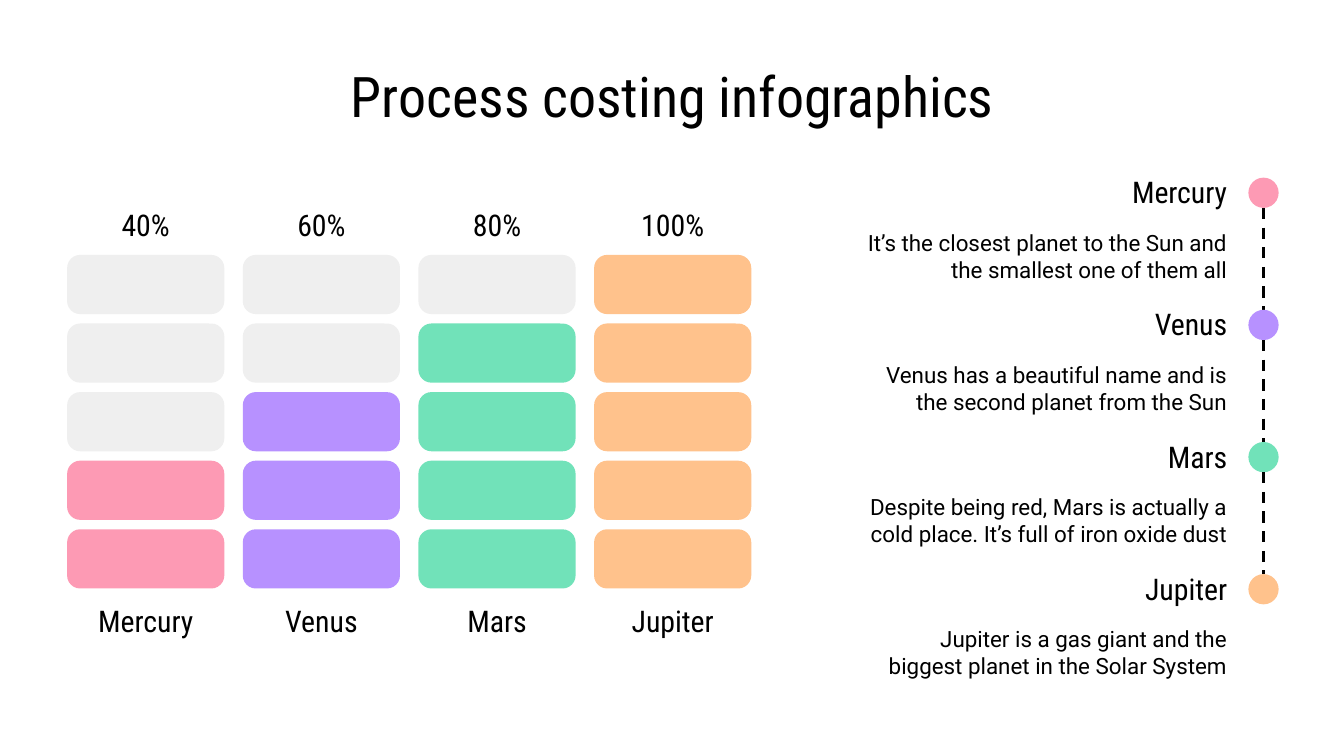
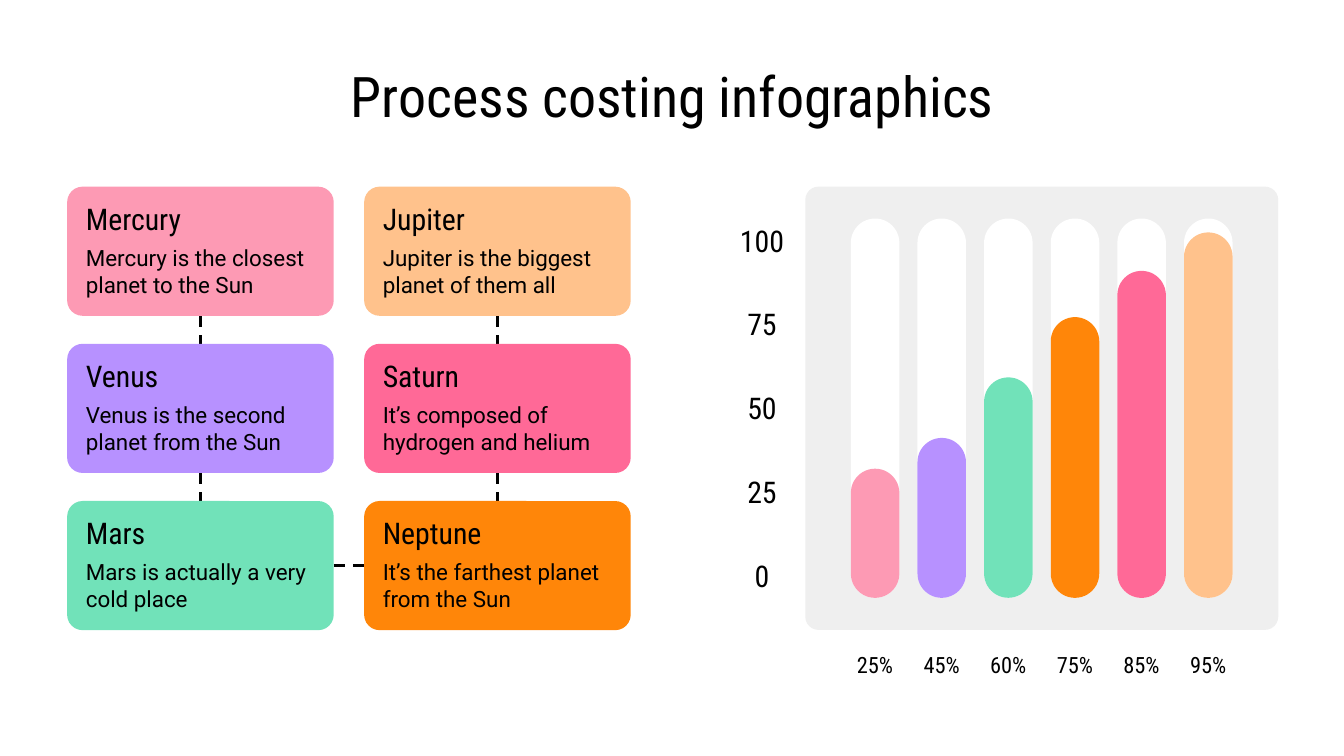
from dataclasses import dataclass
from lxml.etree import SubElement
from pptx import Presentation
from pptx.dml.color import RGBColor
from pptx.enum.dml import MSO_LINE as Dash
from pptx.enum.shapes import MSO_CONNECTOR as Conn, MSO_SHAPE as Kind
from pptx.enum.text import MSO_ANCHOR as Anchor, PP_ALIGN as Align
from pptx.oxml.ns import qn
from pptx.util import Pt


@dataclass(frozen=True)
class Theme:
    ink: str = "000000"
    white: str = "FFFFFF"
    grey: str = "EFEFEF"
    pink: str = "FD9AB4"
    violet: str = "B791FF"
    mint: str = "71E2B9"
    peach: str = "FFC28C"
    rose: str = "FF6997"
    orange: str = "FF8609"
    title: int = 30
    head: int = 16
    body: int = 12
    narrow: str = "Roboto Condensed"
    plain: str = "Roboto"
    pad: float = 7.2
    rule: float = 1.5


class Deck:
    def __init__(self, theme):
        self.theme = theme
        self.file = Presentation()
        self.file.slide_width, self.file.slide_height = Pt(720), Pt(405)
        self.slide = None

    def start(self):
        self.slide = self.file.slides.add_slide(self.file.slide_layouts[6])
        fill = self.slide.background.fill
        fill.solid()
        fill.fore_color.rgb = RGBColor.from_string(self.theme.white)

    def title(self, words):
        self.text(words, 36, 32.4, 648.7, 37.4, size=self.theme.title)

    def text(self, words, x, y, w, h, size=None, font=None,
             align=Align.CENTER, anchor=Anchor.MIDDLE):
        box = self.slide.shapes.add_textbox(Pt(x), Pt(y), Pt(w), Pt(h))
        frame = box.text_frame
        frame.word_wrap = True
        frame.vertical_anchor = anchor
        pad = Pt(self.theme.pad)
        frame.margin_left = frame.margin_right = pad
        frame.margin_top = frame.margin_bottom = pad
        para = frame.paragraphs[0]
        para.alignment = align
        run = para.add_run()
        run.text = words
        run.font.size = Pt(size or self.theme.head)
        run.font.name = font or self.theme.narrow
        run.font.color.rgb = RGBColor.from_string(self.theme.ink)

    def note(self, words, x, y, w, align, anchor):
        """Two lines of body text."""
        self.text(words, x, y, w, 35.3, self.theme.body, self.theme.plain,
                  align, anchor)

    def shape(self, kind, x, y, w, h, color):
        item = self.slide.shapes.add_shape(kind, Pt(x), Pt(y), Pt(w), Pt(h))
        item.shadow.inherit = False
        item.fill.solid()
        item.fill.fore_color.rgb = RGBColor.from_string(color)
        item.line.fill.background()
        return item

    def dot(self, x, y, size, color):
        self.shape(Kind.OVAL, x, y, size, size, color)

    def block(self, x, y, w, h, color, curve):
        item = self.shape(Kind.ROUNDED_RECTANGLE, x, y, w, h, color)
        item.adjustments[0] = curve

    def line(self, x1, y1, x2, y2):
        item = self.slide.shapes.add_connector(
            Conn.STRAIGHT, Pt(x1), Pt(y1), Pt(x2), Pt(y2))
        item.line.color.rgb = RGBColor.from_string(self.theme.ink)
        item.line.width = Pt(self.theme.rule)
        item.line.dash_style = Dash.DASH
        SubElement(item.element.spPr, qn("a:effectLst"))


TITLE = "Process costing infographics"


def stacks(deck):
    """Stacks of five blocks, with a legend along a dashed line."""
    look = deck.theme
    planets = [
        ("Mercury", 2, look.pink,
         "It’s the closest planet to the Sun and the smallest one of them all"),
        ("Venus", 3, look.violet,
         "Venus has a beautiful name and is the second planet from the Sun"),
        ("Mars", 4, look.mint,
         "Despite being red, Mars is actually a cold place. "
         "It’s full of iron oxide dust"),
        ("Jupiter", 5, look.peach,
         "Jupiter is a gas giant and the biggest planet in the Solar System"),
    ]
    deck.start()
    deck.title(TITLE)
    rows, wide, dot, step = 5, 84.2, 16.2, 70.8
    for i, (name, full, color, fact) in enumerate(planets):
        x = 36 + 94.1 * i
        for row in range(rows):
            tint = color if row >= rows - full else look.grey
            deck.block(x, 136.6 + 36.75 * row, wide, 31.7, tint, 0.22)
        deck.text(name, x, 320.6, wide, 23.8)
        deck.text(f"{full * 100 // rows}%", x, 108.2, wide, 23.8)

        y = 90.2 + step * i
        deck.text(name, 454.3, y, 210.2, 25.2, align=Align.RIGHT)
        deck.note(fact, 454.3, y + 25.2, 210.2, Align.RIGHT, Anchor.TOP)
        top = y + 5
        deck.dot(668.8, top, dot, color)
        if i < len(planets) - 1:
            deck.line(676.9, top + dot, 676.9, top + step)


def cards(deck):
    """Two columns of linked cards."""
    look = deck.theme
    facts = [
        ("Mercury", "Mercury is the closest planet to the Sun", look.pink),
        ("Venus", "Venus is the second planet from the Sun", look.violet),
        ("Mars", "Mars is actually a very cold place", look.mint),
        ("Jupiter", "Jupiter is the biggest planet of them all", look.peach),
        ("Saturn", "It’s composed of hydrogen and helium", look.rose),
        ("Neptune", "It’s the farthest planet from the Sun", look.orange),
    ]
    left, top, wide, high, across, down = 36, 100, 142.8, 69.2, 159.1, 84.2
    last = top + 2 * down
    for col in range(2):
        mid = left + wide / 2 + across * col
        deck.line(mid, top + high, mid, last)
    deck.line(left + wide, last + high / 2, left + across, last + high / 2)
    for i, (name, fact, color) in enumerate(facts):
        col, row = divmod(i, 3)
        x, y = left + across * col, top + down * row
        deck.block(x, y, wide, high, color, 0.12)
        deck.text(name, x + 2.9, y + 6.2, 137.5, 21.6, align=Align.LEFT)
        deck.note(fact, x + 2.9, y + 27.6, 137.5, Align.LEFT, Anchor.MIDDLE)


def bars(deck):
    """Rounded bars in white tracks on a grey panel."""
    look = deck.theme
    data = [(25, 69.2, look.pink), (45, 85.7, look.violet),
            (60, 118.1, look.mint), (75, 150.4, look.orange),
            (85, 175.2, look.rose), (95, 195.8, look.peach)]
    deck.block(431.4, 100, 253.4, 237.5, look.grey, 0.03)
    base, wide, track = 320.3, 26, 203.2
    for i, (part, high, color) in enumerate(data):
        x = 455.8 + 35.7 * i
        deck.block(x, base - track, wide, track, look.white, 0.5)
        deck.block(x, base - high, wide, high, color, 0.5)
        deck.text(f"{part}%", x - 5.4, 344.3, 36.8, 23.8, look.body)
    for i in range(5):
        deck.text(str(25 * i), 385.2, 296.8 - 44.9 * i, 46.1, 23)


def main():
    deck = Deck(Theme())
    stacks(deck)
    deck.start()
    deck.title(TITLE)
    cards(deck)
    bars(deck)
    deck.file.save("out.pptx")


if __name__ == "__main__":
    main()
